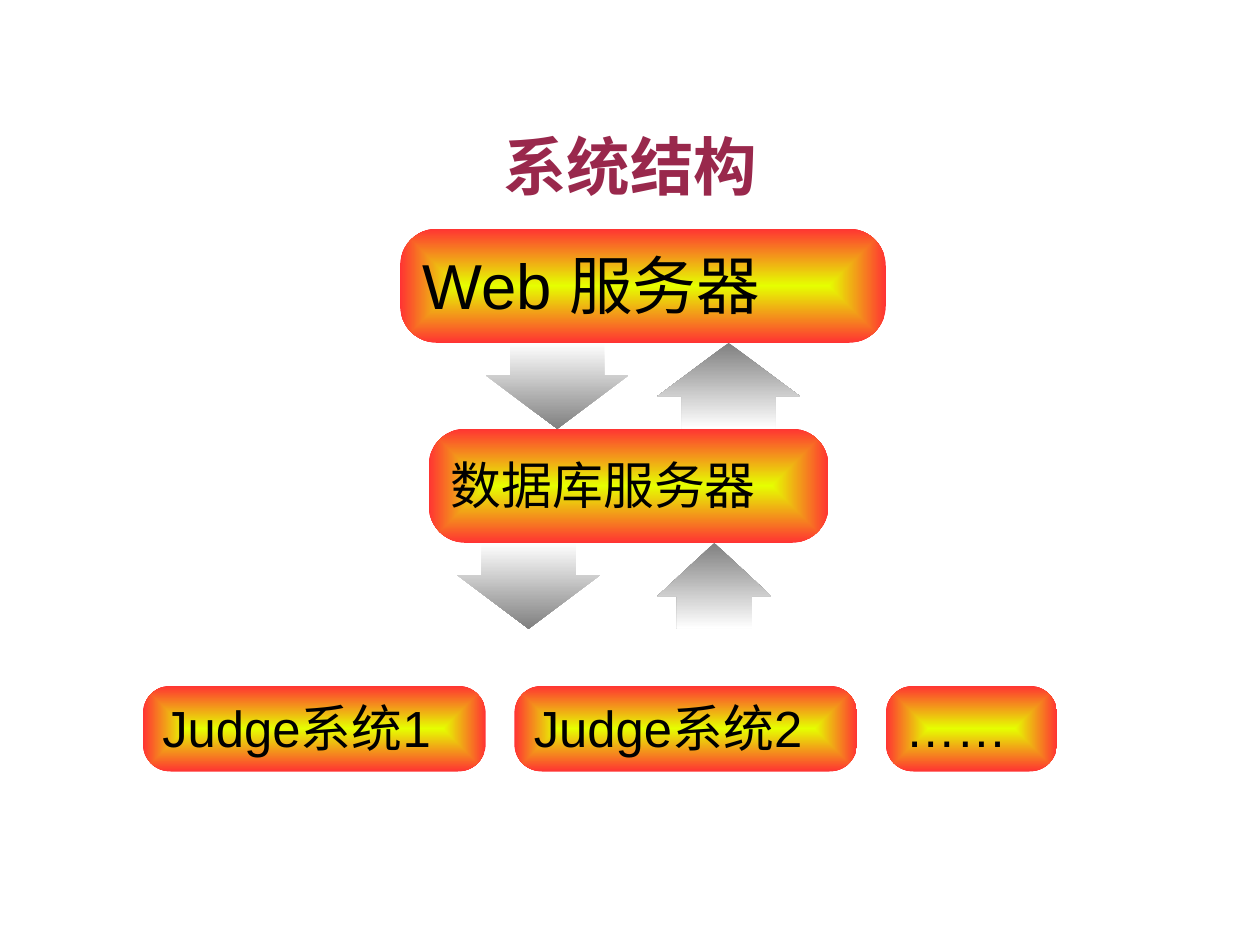
from lxml.etree import SubElement
from pptx import Presentation
from pptx.dml.color import RGBColor
from pptx.enum.shapes import MSO_SHAPE as Kind
from pptx.enum.text import MSO_ANCHOR as Anchor, PP_ALIGN as Align
from pptx.oxml.ns import qn
from pptx.util import Inches, Pt


def write(shape, text, size, color, align, inset):
    frame = shape.text_frame
    frame.text = text
    frame.word_wrap = True
    frame.vertical_anchor = Anchor.MIDDLE
    frame.margin_left, frame.margin_top, frame.margin_right, frame.margin_bottom = [
        Inches(side) for side in inset]
    para = frame.paragraphs[0]
    para.alignment = align
    para.line_spacing = 0.93
    font = para.runs[0].font
    font.name = "Arial"
    font.size = Pt(size)
    font.color.rgb = RGBColor.from_string(color)
    return font


def draw(kind, box, adjust, colors):
    shape = slide.shapes.add_shape(kind, *[Inches(side) for side in box])
    shape.shadow.inherit = False
    shape.line.fill.background()
    for i, value in enumerate(adjust):
        shape.adjustments[i] = value
    shape.fill.gradient()
    shape.fill.gradient_angle = 270
    for stop, color in zip(shape.fill.gradient_stops, colors):
        stop.color.rgb = RGBColor.from_string(color)
    return shape


deck = Presentation()
deck.slide_width = Inches(28 / 2.54)
deck.slide_height = Inches(21 / 2.54)
slide = deck.slides.add_slide(deck.slide_layouts[5])

title = slide.shapes.title
title.left, title.top = Inches(0.81), Inches(0.77)
title.width, title.height = Inches(9.41), Inches(1.38)
font = write(title, "系统结构", 40, "99284C", Align.CENTER, (0, 0.04, 0, 0))
font.bold = True

nodes = [
    ("Web 服务器", 40, 0.09, (3.5, 2, 4.25, 1)),
    ("数据库服务器", 32, 0.08, (3.75, 3.75, 3.5, 1)),
    ("Judge系统1", 32, 0.08, (1.25, 6, 3, 0.75)),
    ("Judge系统2", 32, 0.08, (4.5, 6, 3, 0.75)),
    ("……", 32, 0.08, (7.75, 6, 1.5, 0.75)),
]
for text, size, inset, box in nodes:
    node = draw(Kind.ROUNDED_RECTANGLE, box, [0.328], ["E6FF00", "FF3333"])
    grad = node._element.spPr.find(qn("a:gradFill"))
    grad.remove(grad.find(qn("a:lin")))
    shade = SubElement(grad, qn("a:path"), path="rect")
    SubElement(shade, qn("a:fillToRect"), l="50000", t="50000", r="50000", b="50000")
    write(node, text, size, "000000", Align.LEFT, (0.1, inset, 0.1, 0.05))

arrows = [
    (Kind.DOWN_ARROW, 4, 4.75, 1.25),
    (Kind.UP_ARROW, 5.75, 3, 1.25),
    (Kind.DOWN_ARROW, 4.25, 3, 1.25),
    (Kind.UP_ARROW, 5.75, 4.75, 1),
]
for kind, left, top, width in arrows:
    colors = ["808080", "FFFFFF"]
    if kind == Kind.DOWN_ARROW:
        colors.reverse()
    draw(kind, (left, top, width, 0.75), [0.657, 0.624], colors)

deck.save("out.pptx")
